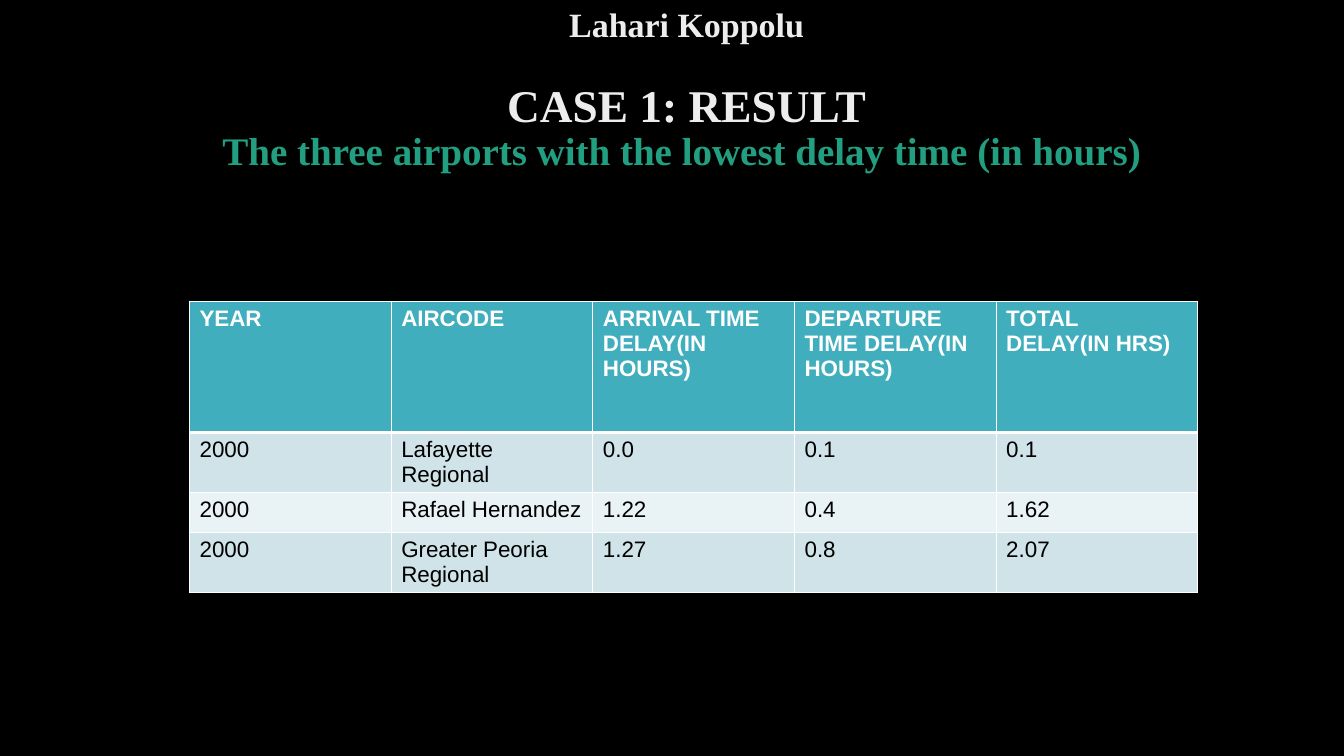
from dataclasses import dataclass

from lxml.etree import SubElement
from pptx import Presentation
from pptx.dml.color import RGBColor
from pptx.enum.text import MSO_ANCHOR, MSO_AUTO_SIZE, PP_ALIGN
from pptx.oxml.ns import qn
from pptx.util import Inches, Pt


@dataclass(frozen=True)
class Theme:
    background: str = "000000"
    heading: str = "EDEDED"
    accent: str = "229E80"
    white: str = "FFFFFF"
    body: str = "000000"
    header_fill: str = "41AEBD"
    band_fills: tuple = ("CFE3E8", "E9F2F4")
    title_font: str = "Times New Roman"
    table_font: str = "Arial"
    author_size: float = 24.3
    case_size: float = 32.4
    subtitle_size: float = 27.9
    table_size: float = 16
    thin_border: float = 1
    header_border: float = 3


THEME = Theme()
TITLE_LINES = [
    ("Lahari Koppolu", THEME.author_size, THEME.heading, 0),
    ("CASE 1: RESULT", THEME.case_size, THEME.heading, 27),
    ("The three airports with the lowest delay time (in hours) ",
     THEME.subtitle_size, THEME.accent, 0),
]
DELAY_ROWS = [
    ("YEAR", "AIRCODE", "ARRIVAL TIME DELAY(IN HOURS)",
     "DEPARTURE TIME DELAY(IN HOURS)", "TOTAL DELAY(IN HRS)"),
    ("2000", "Lafayette Regional", "0.0", "0.1", "0.1"),
    ("2000", "Rafael Hernandez", "1.22", "0.4", "1.62"),
    ("2000", "Greater Peoria Regional", "1.27", "0.8", "2.07"),
]
COLUMN_WIDTH = 2
HEADER_HEIGHT = 1.3
ROW_HEIGHT = 0.4


def write_text(paragraph, text, *, font, size, color, bold=False,
               align=PP_ALIGN.LEFT, line_spacing=1.0, space_before=0):
    paragraph.alignment = align
    paragraph.line_spacing = line_spacing
    paragraph.space_before = Pt(space_before)
    paragraph.space_after = Pt(0)
    run = paragraph.add_run()
    run.text = text
    run.font.name = font
    run.font.size = Pt(size)
    run.font.bold = bold
    run.font.color.rgb = RGBColor.from_string(color)


def add_border(cell, side, width):
    properties = cell._tc.get_or_add_tcPr()
    line = SubElement(properties, qn(f"a:ln{side}"), w=str(Pt(width)))
    fill = SubElement(line, qn("a:solidFill"))
    SubElement(fill, qn("a:srgbClr"), val=THEME.white)


def add_title(slide):
    title = slide.shapes.title
    title.left, title.top = Inches(0.24), Inches(0.82)
    title.width, title.height = Inches(13.14), Inches(1.03)
    frame = title.text_frame
    frame.word_wrap = True
    frame.auto_size = MSO_AUTO_SIZE.NONE
    frame.vertical_anchor = MSO_ANCHOR.BOTTOM
    frame.margin_bottom = Inches(0.12)
    for index, (text, size, color, space_before) in enumerate(TITLE_LINES):
        paragraph = frame.add_paragraph() if index else frame.paragraphs[0]
        write_text(paragraph, text, font=THEME.title_font, size=size,
                   color=color, bold=True, align=PP_ALIGN.CENTER,
                   line_spacing=0.9, space_before=space_before)


def add_delay_table(slide):
    row_count, column_count = len(DELAY_ROWS), len(DELAY_ROWS[0])
    height = HEADER_HEIGHT + ROW_HEIGHT * (row_count - 1)
    table = slide.shapes.add_table(
        row_count, column_count, Inches(1.88), Inches(2.99),
        Inches(COLUMN_WIDTH * column_count), Inches(height)).table
    for column in table.columns:
        column.width = Inches(COLUMN_WIDTH)
    for row_index, values in enumerate(DELAY_ROWS):
        header = row_index == 0
        table.rows[row_index].height = Inches(HEADER_HEIGHT if header else ROW_HEIGHT)
        fill = THEME.header_fill if header else THEME.band_fills[(row_index - 1) % 2]
        for column_index, value in enumerate(values):
            cell = table.cell(row_index, column_index)
            for side in "LRTB":
                below_header = (row_index, side) in ((0, "B"), (1, "T"))
                add_border(cell, side, THEME.header_border if below_header else THEME.thin_border)
            cell.fill.solid()
            cell.fill.fore_color.rgb = RGBColor.from_string(fill)
            write_text(cell.text_frame.paragraphs[0], value,
                       font=THEME.table_font, size=THEME.table_size,
                       color=THEME.white if header else THEME.body, bold=header)


def main():
    presentation = Presentation()
    presentation.slide_width = Inches(13.33)
    presentation.slide_height = Inches(7.5)
    slide = presentation.slides.add_slide(presentation.slide_layouts[5])
    slide.background.fill.solid()
    slide.background.fill.fore_color.rgb = RGBColor.from_string(THEME.background)
    add_title(slide)
    add_delay_table(slide)
    presentation.save("out.pptx")


if __name__ == "__main__":
    main()
